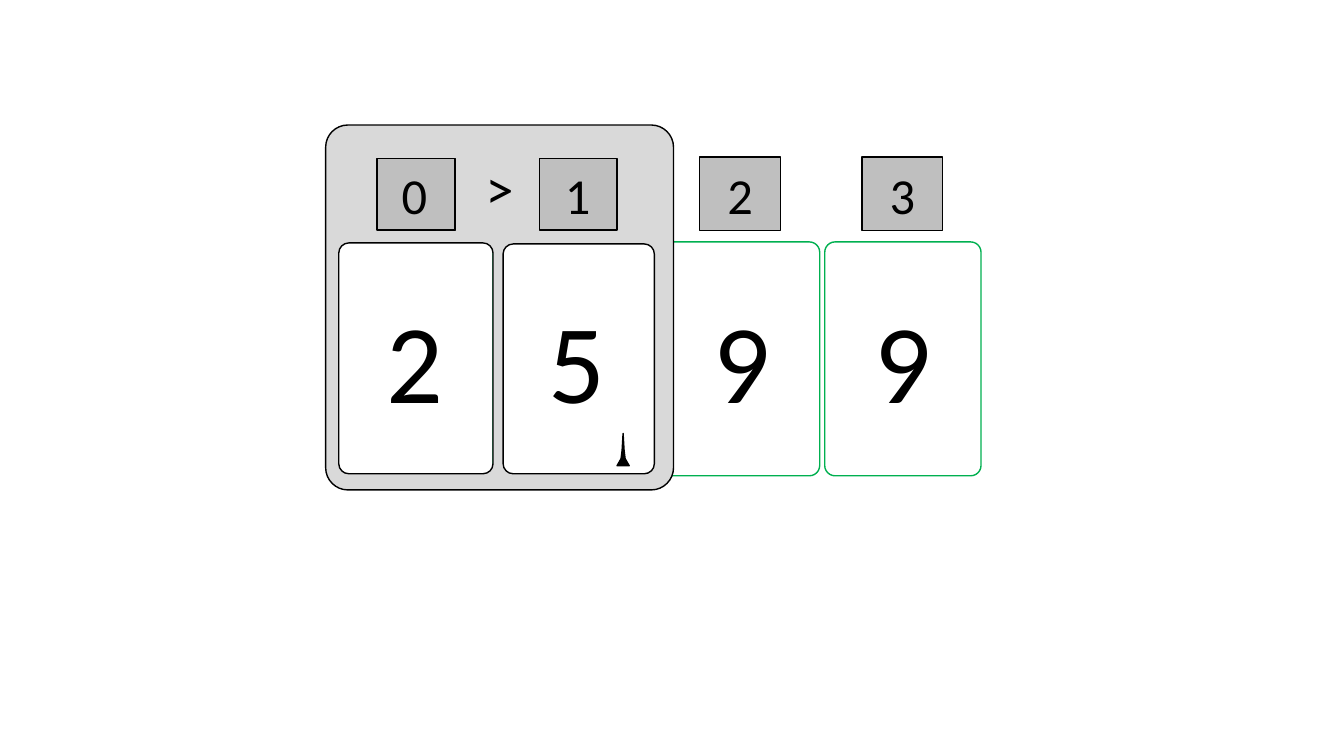
from math import copysign

from lxml import etree
from pptx import Presentation
from pptx.dml.color import RGBColor
from pptx.enum.shapes import MSO_SHAPE
from pptx.enum.text import MSO_ANCHOR, PP_ALIGN
from pptx.oxml.ns import qn
from pptx.util import Inches, Pt


def style_shape(shape, text="", size=18, fill="FFFFFF", line="000000", anchor=MSO_ANCHOR.MIDDLE):
    shape.shadow.inherit = False
    shape.fill.solid()
    shape.fill.fore_color.rgb = RGBColor.from_string(fill)
    shape.line.color.rgb = RGBColor.from_string(line)
    shape.line.width = Pt(1)
    if not text:
        return
    shape.text_frame.vertical_anchor = anchor
    paragraph = shape.text_frame.paragraphs[0]
    paragraph.alignment = PP_ALIGN.CENTER
    run = paragraph.add_run()
    run.text = text
    run.font.name = "Calibri"
    run.font.size = Pt(size)
    run.font.color.rgb = RGBColor.from_string("000000")


def cut_outline(left, top, right, bottom, radius=0):
    """Return rectangle points with cut corners; swapping left and right reverses the direction."""
    inset = copysign(radius, right - left)
    points = [(left + inset, top), (right - inset, top), (right, top + radius),
              (right, bottom - radius), (right - inset, bottom), (left + inset, bottom),
              (left, bottom - radius), (left, top + radius), (left + inset, top)]
    if not radius:
        points = [(left, top), (right, top), (right, bottom), (left, bottom)]
    return [(Inches(x), Inches(y)) for x, y in points]


presentation = Presentation()
presentation.slide_width = Inches(13.33)
presentation.slide_height = Inches(7.5)
slide = presentation.slides.add_slide(presentation.slide_layouts[6])
shapes = slide.shapes

# Array values on cards
for value, left in zip("2599", (3.34, 4.95, 6.58, 8.18)):
    card = shapes.add_shape(MSO_SHAPE.ROUNDED_RECTANGLE, Inches(left), Inches(2.4),
                            Inches(1.55), Inches(2.32))
    card.adjustments[0] = 0.066
    style_shape(card, value, size=80, line="00B050")

# Small black marker on the second card
marker_points = [(6.12, 4.62), (6.16, 4.55), (6.17, 4.47), (6.18, 4.3),
                 (6.19, 4.47), (6.2, 4.55), (6.24, 4.62)]
marker_points = [(Inches(x), Inches(y)) for x, y in marker_points]
marker_builder = shapes.build_freeform(*marker_points[0])
marker_builder.add_line_segments(marker_points[1:])
style_shape(marker_builder.convert_to_shape(), fill="000000")

# Array indexes
for index, left in enumerate((3.71, 5.33, 6.94, 8.55)):
    label = shapes.add_shape(MSO_SHAPE.RECTANGLE, Inches(left), Inches(1.56),
                             Inches(0.8), Inches(0.73))
    style_shape(label, str(index), size=36, fill="BFBFBF")

# Comparison frame with windows for two cards and two indexes
frame_outline = cut_outline(3.23, 1.24, 6.68, 4.86, 0.22)
windows = [
    cut_outline(4.89, 2.41, 3.36, 4.7, 0.1),
    cut_outline(6.49, 2.42, 4.99, 4.7, 0.1),
    cut_outline(4.52, 1.57, 3.74, 2.28),
    cut_outline(6.12, 1.57, 5.35, 2.28),
]
frame_builder = shapes.build_freeform(*frame_outline[0])
frame_builder.add_line_segments(frame_outline[1:])
for window in windows:
    frame_builder.move_to(*window[0])
    frame_builder.add_line_segments(window[1:])
frame = frame_builder.convert_to_shape()
style_shape(frame, ">", size=40, fill="D9D9D9", anchor=MSO_ANCHOR.TOP)
frame.text_frame.margin_top = Inches(0.28)

# Turn each cut corner of the frame into a quarter circle
ROUNDNESS = 0.55
start_x = start_y = 0
after_horizontal = True
for point in list(frame.element.iter(qn("a:pt"))):
    end_x, end_y = int(point.get("x")), int(point.get("y"))
    segment = point.getparent()
    if segment.tag == qn("a:lnTo"):
        if start_x != end_x and start_y != end_y:
            corner_x, corner_y = (end_x, start_y) if after_horizontal else (start_x, end_y)
            segment.tag = qn("a:cubicBezTo")
            for x, y in ((start_x, start_y), (end_x, end_y)):
                control = etree.Element(qn("a:pt"))
                control.set("x", str(round(x + (corner_x - x) * ROUNDNESS)))
                control.set("y", str(round(y + (corner_y - y) * ROUNDNESS)))
                point.addprevious(control)
        else:
            after_horizontal = start_y == end_y
    start_x, start_y = end_x, end_y

presentation.save("out.pptx")
